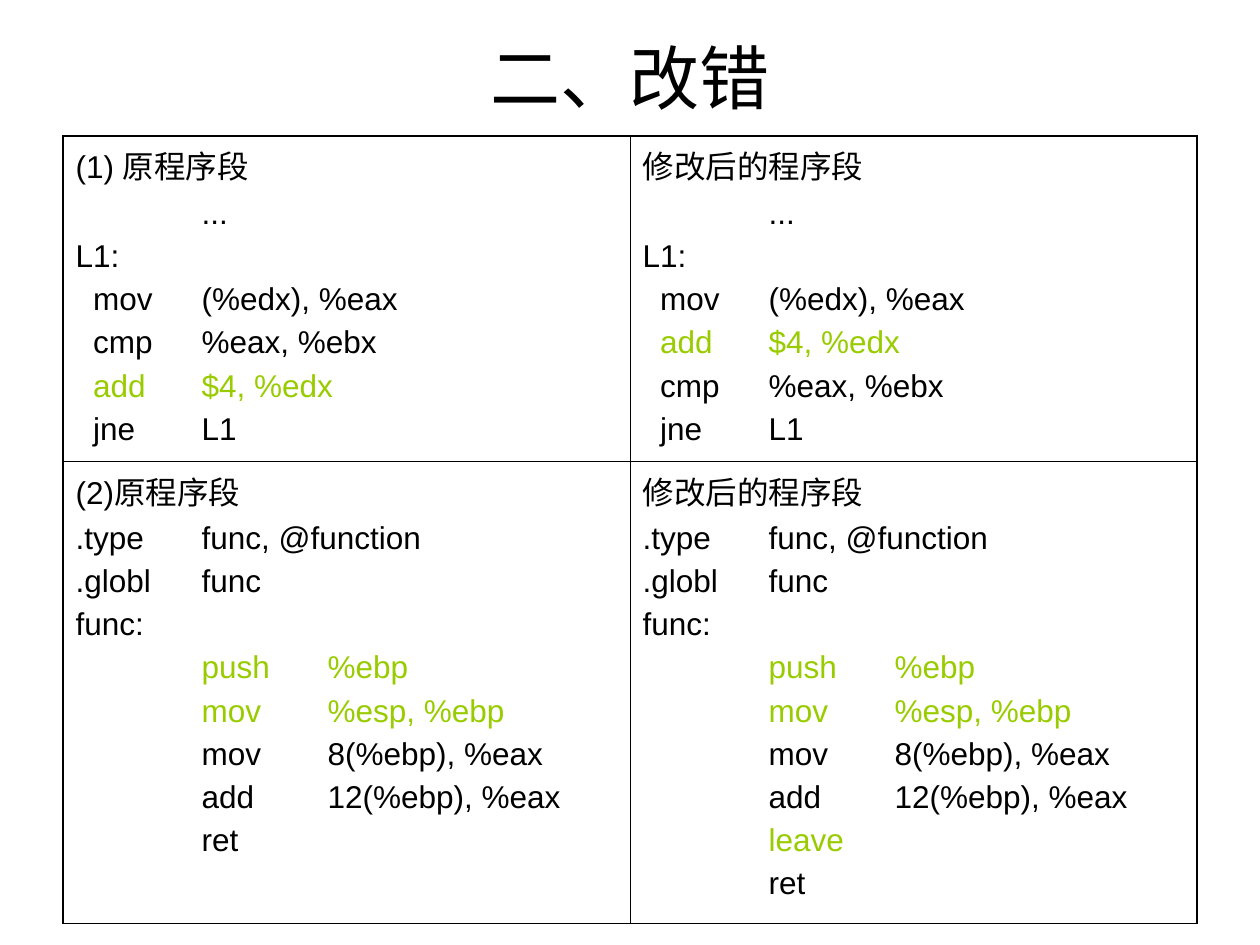
from pptx import Presentation
from pptx.dml.color import RGBColor
from pptx.enum.text import MSO_ANCHOR, PP_ALIGN
from pptx.oxml.ns import qn
from pptx.util import Inches, Pt
from lxml.etree import SubElement, Element

BLACK = RGBColor(0x00, 0x00, 0x00)
GREEN = RGBColor(0x99, 0xCC, 0x00)
OUTER, INNER = Pt(1.08), Pt(0.45)

LOOP_HEAD = ["\t...", "L1:", "  mov\t(%edx), %eax"]
CMP, ADD, JNE = "  cmp\t%eax, %ebx", "  add\t$4, %edx", "  jne\tL1"
FUNC = [".type\tfunc, @function", ".globl\tfunc", "func:", "\tpush\t%ebp",
        "\tmov\t%esp, %ebp", "\tmov\t8(%ebp), %eax", "\tadd\t12(%ebp), %eax"]
LEAVE, RET = "\tleave", "\tret"
FIXED = "修改后的程序段"
CELLS = [
    [["(1) 原程序段", *LOOP_HEAD, CMP, ADD, JNE], [FIXED, *LOOP_HEAD, ADD, CMP, JNE]],
    [["(2)原程序段", *FUNC, RET], [FIXED, *FUNC, LEAVE, RET]],
]
CHANGED = {ADD, FUNC[3], FUNC[4], LEAVE}


def set_attrs(obj, values):
    """Set each attribute in values on obj."""
    for name, value in values.items():
        setattr(obj, name, value)


def add_run(p, text, size, color):
    """Add a formatted run to a paragraph."""
    r = p.add_run()
    r.text = text
    set_attrs(r.font, {"size": Pt(size), "name": "Arial"})
    r.font.color.rgb = color


def add_title(s, text, box):
    """Place the title placeholder in the box."""
    sp = s.shapes.title
    set_attrs(sp, dict(zip(("left", "top", "width", "height"), box)))
    tf = sp.text_frame
    set_attrs(tf, {"vertical_anchor": MSO_ANCHOR.MIDDLE, "word_wrap": True})
    p = tf.paragraphs[0]
    p.alignment = PP_ALIGN.CENTER
    add_run(p, text, 40, BLACK)


def set_borders(cell, widths):
    """Draw the left, right, top and bottom borders of a cell."""
    tc_pr = cell._tc.get_or_add_tcPr()
    for i, (side, width) in enumerate(zip("LRTB", widths)):
        ln = Element(qn(f"a:ln{side}"), w=str(int(width)))
        fill = SubElement(ln, qn("a:solidFill"))
        SubElement(fill, qn("a:srgbClr"), val=str(BLACK))
        tc_pr.insert(i, ln)


def fill_cell(cell, lines):
    """Write code lines into a cell, with changed lines in green."""
    cell.fill.background()
    set_attrs(cell, {"margin_left": Inches(0.1), "margin_right": Inches(0.1),
                     "margin_top": Inches(0.05), "margin_bottom": Inches(0.05)})
    tf = cell.text_frame
    for i, line in enumerate(lines):
        p = tf.add_paragraph() if i else tf.paragraphs[0]
        tabs = SubElement(p._p.get_or_add_pPr(), qn("a:tabLst"))
        for stop in (1, 2):
            SubElement(tabs, qn("a:tab"), pos=str(Inches(stop)), algn="l")
        if i:
            p.space_before = Pt(4.5)
        add_run(p, line, 18, GREEN if line in CHANGED else BLACK)


def add_code_table(s, cells, box, heights):
    """Place the table of code before and after correction in the box."""
    rows, cols = len(cells), len(cells[0])
    table = s.shapes.add_table(rows, cols, *box).table
    set_attrs(table, {"first_row": False, "horz_banding": False})
    for row, height in zip(table.rows, heights):
        row.height = height
    for i, row in enumerate(cells):
        for j, lines in enumerate(row):
            cell = table.cell(i, j)
            fill_cell(cell, lines)
            edges = (j == 0, j == cols - 1, i == 0, i == rows - 1)
            set_borders(cell, [OUTER if edge else INNER for edge in edges])


def main():
    """Build and save the slide."""
    prs = Presentation()
    set_attrs(prs, {"slide_width": Inches(10), "slide_height": Inches(7.5)})
    s = prs.slides.add_slide(prs.slide_layouts[5])
    left, width = Inches(0.5), Inches(9)
    add_title(s, "二、改错", (left, Inches(0.3), width, Inches(0.61)))
    add_code_table(s, CELLS, (left, Inches(1.08), width, Inches(6.25)),
                   (Inches(2.58), Inches(3.67)))
    prs.save("out.pptx")


if __name__ == "__main__":
    main()
